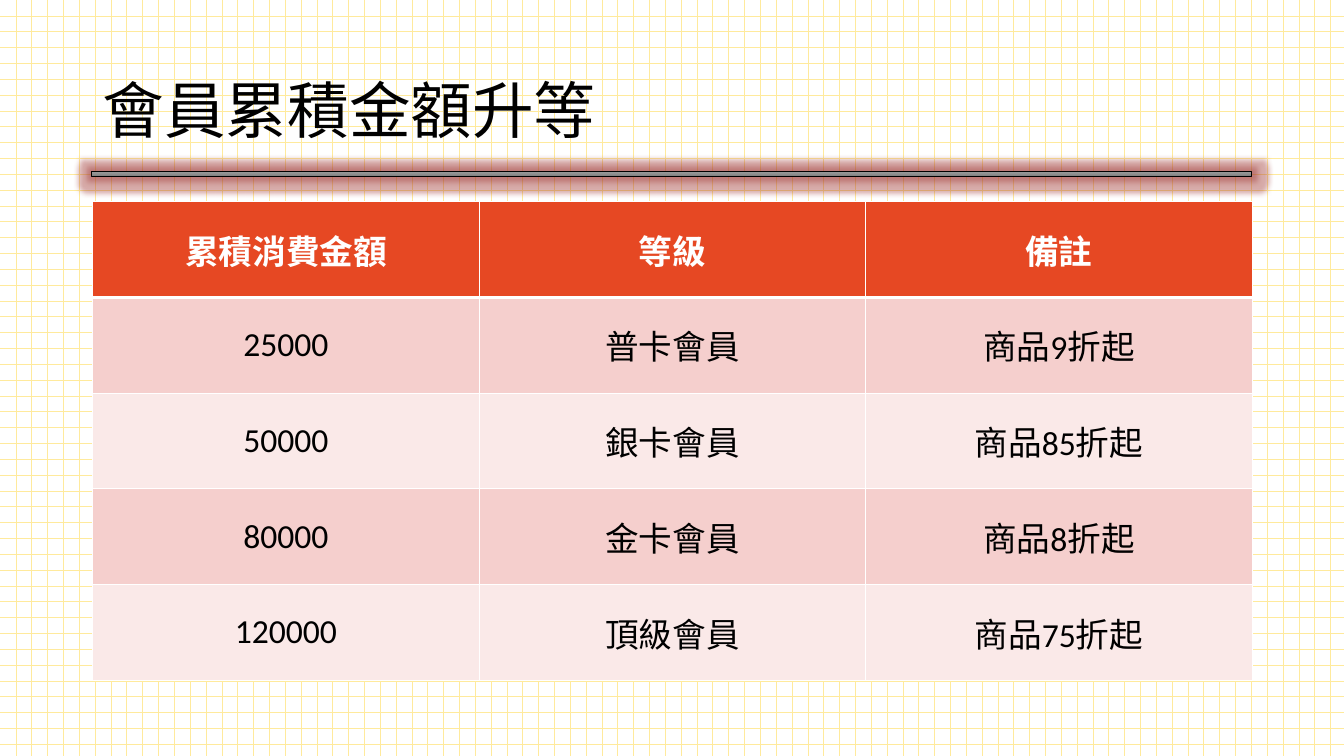
"""Build the membership upgrade slide with its tier table."""
from copy import deepcopy
from dataclasses import dataclass

from lxml import etree
from pptx import Presentation
from pptx import util as u
from pptx.dml.color import RGBColor
from pptx.enum import dml, lang, shapes, text
from pptx.oxml.ns import qn


@dataclass(frozen=True)
class Theme:
    font: str = "Calibri"
    title_size: int = 44
    table_size: int = 24
    ink: str = "000000"
    paper: str = "FFFFFF"
    grid: str = "FFEA9C"
    header: str = "E64823"
    bands: tuple[str, str] = ("F5CFCD", "FAE9E8")
    bar: tuple[str, str, str] = ("9D9D9D", "909090", "7C7C7C")
    glow: str = "9B2D2A"
    rule: float = 1
    header_rule: float = 3


@dataclass(frozen=True)
class Tier:
    amount: str
    level: str
    note: str


THEME = Theme()
HEADING = Tier("累積消費金額", "等級", "備註")
TIERS = [
    Tier("25000", "普卡會員", "商品9折起"),
    Tier("50000", "銀卡會員", "商品85折起"),
    Tier("80000", "金卡會員", "商品8折起"),
    Tier("120000", "頂級會員", "商品75折起"),
]
LEFT, WIDTH = 0.92, 11.5
ROW_HEIGHT = 0.95


def rgb(color: str) -> RGBColor:
    return RGBColor.from_string(color)


def write(frame, words: str, *, size: int, color: str, bold: bool = False,
          align=text.PP_ALIGN.LEFT, spacing: float = 1.0) -> None:
    frame.word_wrap = True
    para = frame.paragraphs[0]
    para.alignment = align
    para.line_spacing = spacing
    span = para.add_run()
    span.text = words
    span.font.name = THEME.font
    span.font.size = u.Pt(size)
    span.font.bold = bold
    span.font.color.rgb = rgb(color)
    span.font.language_id = lang.MSO_LANGUAGE_ID.TRADITIONAL_CHINESE


def paint_background(page) -> None:
    fill = page.background.fill
    fill.patterned()
    fill.pattern = dml.MSO_PATTERN.DOTTED_GRID
    fill.fore_color.rgb = rgb(THEME.grid)
    fill.back_color.rgb = rgb(THEME.paper)


def add_color(parent, color: str):
    return etree.SubElement(parent, qn("a:srgbClr"), val=color)


def add_bar(page) -> None:
    bar = page.shapes.add_shape(
        shapes.MSO_SHAPE.RECTANGLE, u.Inches(0.91), u.Inches(1.7),
        u.Inches(WIDTH), u.Inches(0.05))
    bar.shadow.inherit = False
    bar.fill.gradient()
    bar.fill.gradient_angle = 270
    properties = bar._element.spPr
    stops = properties.find(".//" + qn("a:gsLst"))
    stops.insert(1, deepcopy(stops[0]))
    for index, (stop, color) in enumerate(zip(bar.fill.gradient_stops, THEME.bar)):
        stop.position = index / 2
        stop.color.rgb = rgb(color)
    bar.line.color.rgb = rgb(THEME.ink)
    bar.line.width = u.Pt(0.5)
    glow = etree.SubElement(properties.find(qn("a:effectLst")), qn("a:glow"),
                            rad=str(u.Inches(0.11)))
    etree.SubElement(add_color(glow, THEME.glow), qn("a:alpha"), val="40000")


def add_title(page, words: str) -> None:
    box = page.shapes.add_textbox(
        u.Inches(LEFT), u.Inches(0.4), u.Inches(WIDTH), u.Inches(1.45))
    box.text_frame.vertical_anchor = text.MSO_ANCHOR.MIDDLE
    write(box.text_frame, words, size=THEME.title_size, color=THEME.ink, spacing=0.9)


def set_borders(cell, *, top: float, bottom: float) -> None:
    properties = cell._tc.get_or_add_tcPr()
    widths = {"L": THEME.rule, "R": THEME.rule, "T": top, "B": bottom}
    for index, (side, width) in enumerate(widths.items()):
        line = etree.Element(qn(f"a:ln{side}"), w=str(u.Pt(width)))
        add_color(etree.SubElement(line, qn("a:solidFill")), THEME.paper)
        properties.insert(index, line)


def add_table(page, rows: list[Tier]) -> None:
    table = page.shapes.add_table(
        len(rows), 3, u.Inches(LEFT), u.Inches(2),
        u.Inches(WIDTH), u.Inches(ROW_HEIGHT * len(rows))).table
    for row, tier in enumerate(rows):
        is_header = row == 0
        table.rows[row].height = u.Inches(ROW_HEIGHT)
        for column, words in enumerate((tier.amount, tier.level, tier.note)):
            cell = table.cell(row, column)
            cell.vertical_anchor = text.MSO_ANCHOR.MIDDLE
            cell.fill.solid()
            cell.fill.fore_color.rgb = rgb(
                THEME.header if is_header else THEME.bands[(row - 1) % 2])
            set_borders(cell,
                        top=THEME.header_rule if row == 1 else THEME.rule,
                        bottom=THEME.header_rule if is_header else THEME.rule)
            write(cell.text_frame, words, size=THEME.table_size, bold=is_header,
                  color=THEME.paper if is_header else THEME.ink,
                  align=text.PP_ALIGN.CENTER)


def main() -> None:
    deck = Presentation()
    deck.slide_width, deck.slide_height = u.Inches(13.33), u.Inches(7.5)
    page = deck.slides.add_slide(deck.slide_layouts[6])
    paint_background(page)
    add_bar(page)
    add_title(page, "會員累積金額升等")
    add_table(page, [HEADING, *TIERS])
    deck.save("out.pptx")


if __name__ == "__main__":
    main()
